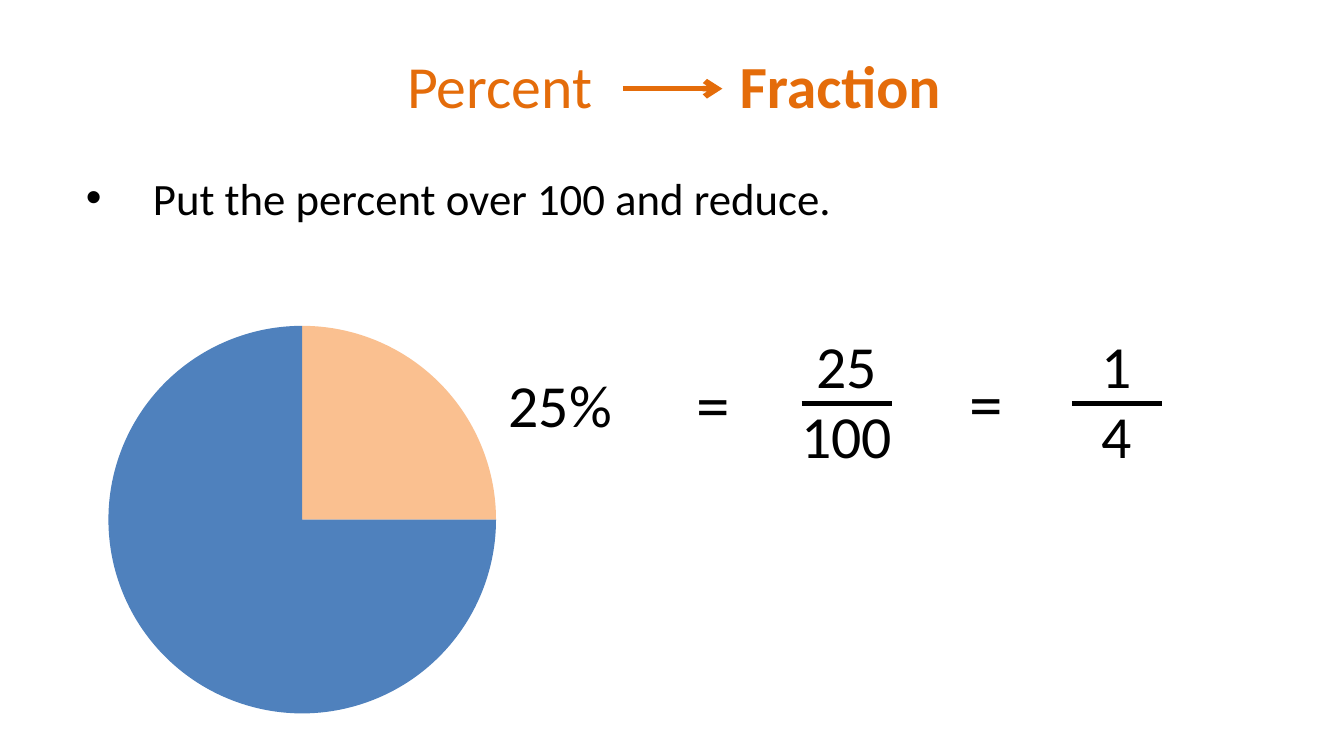
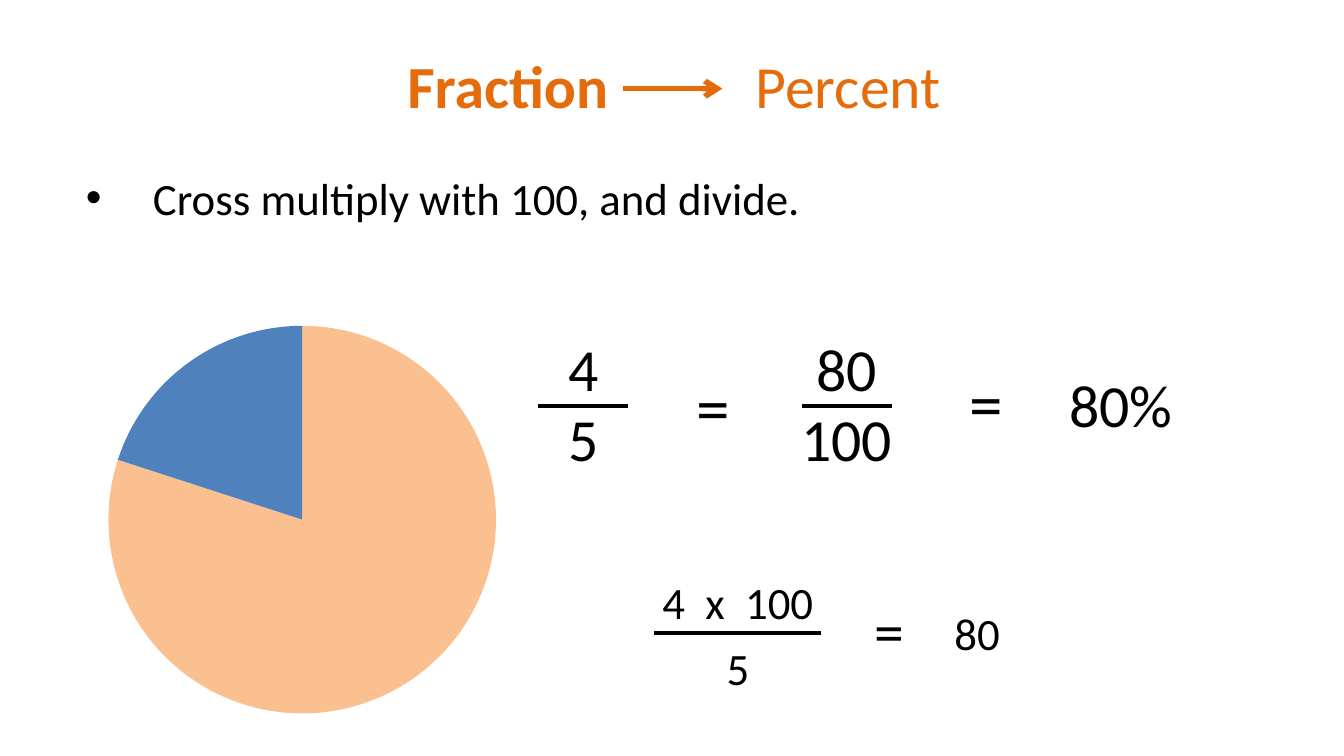
from lxml import etree
from pptx import Presentation
from pptx.chart.data import CategoryChartData
from pptx.dml.color import RGBColor
from pptx.enum.chart import XL_CHART_TYPE as ChartType
from pptx.enum.shapes import MSO_CONNECTOR as Connector
from pptx.enum.text import MSO_ANCHOR as Anchor, PP_ALIGN as Align
from pptx.oxml import parse_xml
from pptx.oxml.ns import nsdecls, qn
from pptx.util import Inches, Pt

FONT = "Calibri"
BLACK, ORANGE, PEACH, BLUE = "000000", "E46C0A", "FAC090", "4F81BD"
TITLE_BOX = (2.89, 0.31, 4.25, 0.64)
RULE_BOX = (0.54, 1.22, 5.8, 0.5)
PIE_BOX = (0.68, 2.1, 3.17, 3.5)
COLUMNS = (4.34, 5.31, 6.3, 7.34, 8.31)  # centres of the equation's terms


def colour(value):
    return RGBColor.from_string(value)


def style_font(font, size, value=BLACK):
    font.name, font.size = FONT, Pt(size)
    font.color.rgb = colour(value)


def add_text(slide, box, text, size, align=Align.CENTER):
    shape = slide.shapes.add_textbox(*map(Inches, box))
    shape.text_frame.word_wrap = False
    paragraph = shape.text_frame.paragraphs[0]
    paragraph.text = text
    paragraph.alignment = align
    style_font(paragraph.font, size)
    return paragraph


def add_line(slide, left, right, y, value=BLACK, width=2.5, arrow=False):
    line = slide.shapes.add_connector(
        Connector.STRAIGHT, Inches(left), Inches(y), Inches(right), Inches(y))
    line.line.color.rgb = colour(value)
    line.line.width = Pt(width)
    if arrow:
        tail = etree.SubElement(line.line._get_or_add_ln(), qn("a:tailEnd"))
        tail.set("type", "arrow")
    etree.SubElement(line._element.spPr, qn("a:effectLst"))


def add_title(slide, box, start, end):
    """Two words at the ends of the box, with an arrow between them."""
    left, top, width, height = box
    title = slide.shapes.title
    title.left, title.top, title.width, title.height = map(Inches, box)
    frame = title.text_frame
    frame.word_wrap = True
    frame.vertical_anchor = Anchor.MIDDLE
    frame.margin_left = Inches(0.14)
    frame.margin_right = Inches(0.05)
    paragraph = frame.paragraphs[0]
    paragraph.alignment = Align.LEFT
    style_font(paragraph.font, 32, ORANGE)
    for text in (start, "\t", end):
        run = paragraph.add_run()
        run.text = text
        run.font.bold = text == "Fraction"
    # A right-aligned tab stop sets the second word against the right edge
    tabs = parse_xml(f'<a:tabLst {nsdecls("a")}>'
                     f'<a:tab pos="{Inches(width - 0.28)}" algn="r"/></a:tabLst>')
    paragraph._p.get_or_add_pPr().insert_element_before(
        tabs, "a:defRPr", "a:extLst")
    middle = left + width / 2 - 0.01
    add_line(slide, middle - 0.37, middle + 0.37, top + 0.35, ORANGE, 3, arrow=True)


def add_rule(slide, box, text):
    paragraph = add_text(slide, box, text, 24, Align.LEFT)
    properties = paragraph._p.get_or_add_pPr()
    properties.set("marL", str(Inches(0.5)))
    properties.set("indent", str(-Inches(0.5)))
    for tag, attribute in (('buFont', 'typeface="Arial"'), ('buChar', 'char="•"')):
        bullet = parse_xml(f'<a:{tag} {nsdecls("a")} {attribute}/>')
        properties.insert_element_before(bullet, "a:tabLst", "a:defRPr", "a:extLst")


def add_pie(slide, box, percent):
    data = CategoryChartData()
    data.categories = ["1", "2"]
    data.add_series("Series 1", (percent, 100 - percent))
    chart = slide.shapes.add_chart(ChartType.PIE, *map(Inches, box), data).chart
    chart.has_legend = chart.has_title = False
    style_font(chart.font, 18)
    plot = chart.plots[0]
    plot.vary_by_categories = True
    for index, value in enumerate((PEACH, BLUE)):
        slice_format = plot.series[0].points[index].format
        slice_format.fill.solid()
        slice_format.fill.fore_color.rgb = colour(value)
        slice_format.line.fill.background()
    # Fixed plot area, as shares of the chart's box
    area = chart._chartSpace.chart.plotArea
    for old in area.findall(qn("c:layout")):
        area.remove(old)
    places = "".join(f'<c:{tag} val="{value}"/>' for tag, value in (
        ("layoutTarget", "inner"), ("xMode", "edge"), ("yMode", "edge"),
        ("x", 0.04), ("y", 0.09), ("w", 0.91), ("h", 0.83)))
    area.insert(0, parse_xml(f'<c:layout {nsdecls("c")}><c:manualLayout>'
                             f'{places}</c:manualLayout></c:layout>'))


def add_term(slide, centre, top, text, size=32, width=1):
    height = size / 50
    add_text(slide, (centre - width / 2, top, width, height), text, size)


def add_fraction(slide, centre, bar, numerator, denominator, size=32, width=0.67):
    above, below = (0.6, -0.08) if size == 32 else (0.48, 0.01)
    box_width = width + 0.33
    add_term(slide, centre, bar - above, numerator, size, box_width)
    add_term(slide, centre, bar + below, denominator, size, box_width)
    add_line(slide, centre - width / 2, centre + width / 2, bar)


def add_lesson(presentation, start, end, rule, percent):
    slide = presentation.slides.add_slide(presentation.slide_layouts[5])
    add_title(slide, TITLE_BOX, start, end)
    add_rule(slide, RULE_BOX, rule)
    add_pie(slide, PIE_BOX, percent)
    return slide


presentation = Presentation()
presentation.slide_width = Inches(10)
presentation.slide_height = Inches(10 * 9 / 16)
first, equals_1, second, equals_2, third = COLUMNS

# Percent to fraction
slide = add_lesson(presentation, "Percent", "Fraction",
                   "Put the percent over 100 and reduce.", 25)
add_term(slide, first - 0.17, 2.69, "25%")
add_term(slide, equals_1, 2.65, "=", 36)
add_fraction(slide, second, 3, "25", "100")
add_term(slide, equals_2, 2.64, "=", 36)
add_fraction(slide, third, 3, "1", "4")

# Fraction to percent
slide = add_lesson(presentation, "Fraction", "Percent",
                   "Cross multiply with 100, and divide.", 80)
add_fraction(slide, first, 3.02, "4", "5")
add_term(slide, equals_1, 2.67, "=", 36)
add_fraction(slide, second, 3.02, "80", "100")
add_term(slide, equals_2, 2.64, "=", 36)
add_term(slide, third + 0.03, 2.69, "80%")

# Working below the equation
add_fraction(slide, 5.49, 4.71, "4  x  100", "5", size=24, width=1.24)
add_term(slide, 6.62, 4.37, "=")
add_term(slide, 7.27, 4.46, "80", 24)

presentation.save("out.pptx")
